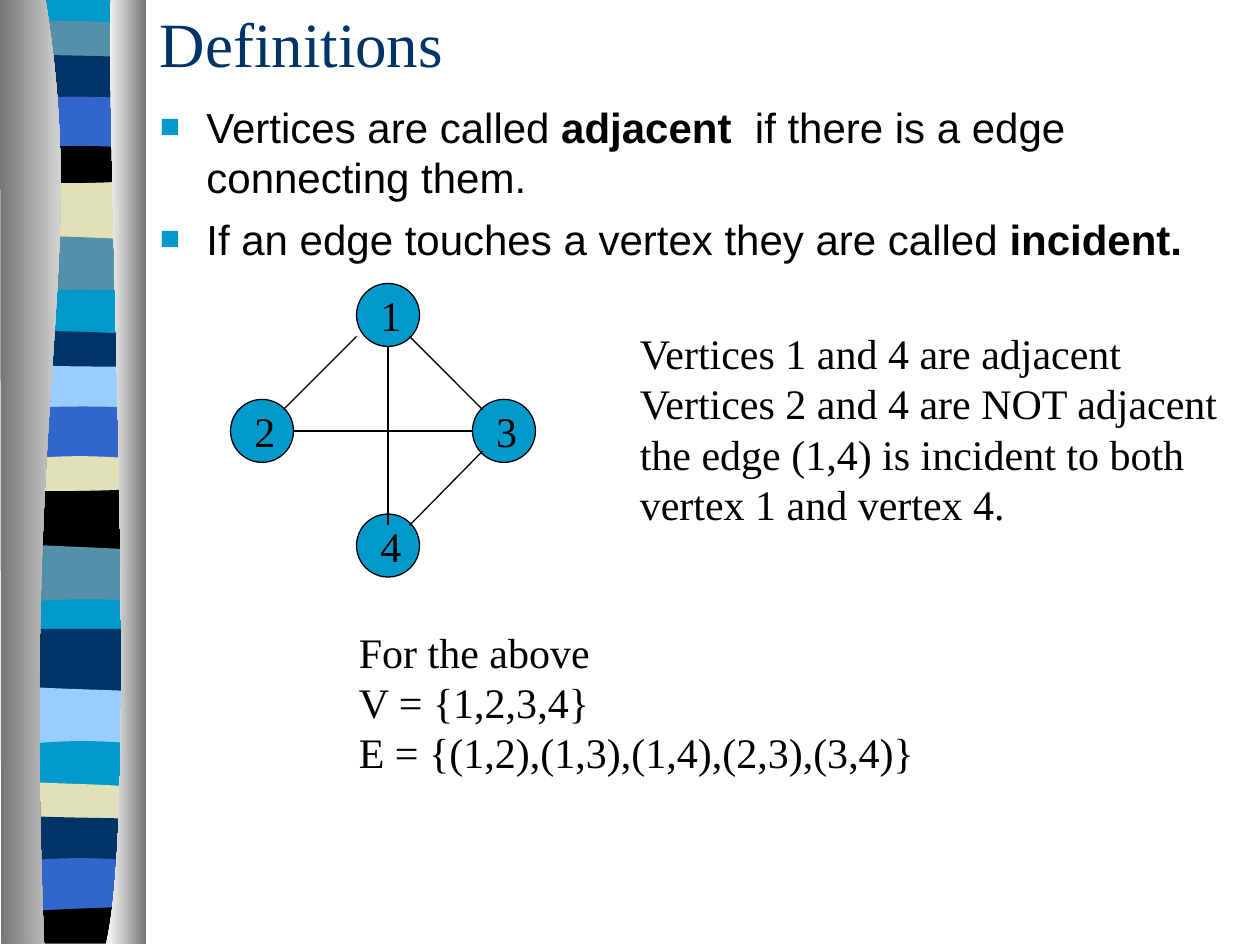
import pptx
import pptx.util
import pptx.dml.color
import pptx.enum.shapes
import pptx.enum.text
import pptx.oxml.ns
import lxml.etree

PX = 9144  # 100 px to the inch
SERIF, SANS = "Times New Roman", "Arial"
BLUE, NAVY, TEAL = "0099CC", "003366", "5490A8"
ROYAL, SKY, SAND, BLACK = "3366CC", "99CCFF", "E1E1B7", "000000"
GREY, WHITE = "767676", "FFFFFF"

# Stripe colour, then height of its top edge at left, middle and right
STRIPES = [
    (BLUE, -1, -1, -1), (TEAL, 17, 17, 20), (NAVY, 43, 44, 46),
    (ROYAL, 79, 77, 79), (BLACK, 119, 116, 118), (SAND, 144, 145, 143),
    (TEAL, 186, 188, 191), (BLUE, 233, 230, 232), (NAVY, 262, 263, 266),
    (SKY, 289, 291, 291), (ROYAL, 325, 323, 324), (SAND, 366, 362, 365),
    (BLACK, 390, 390, 388), (TEAL, 431, 434, 437), (BLUE, 479, 476, 477),
    (NAVY, 499, 499, 499), (SKY, 544, 547, 549), (BLUE, 593, 588, 591),
    (SAND, 620, 622, 625), (NAVY, 647, 649, 650), (ROYAL, 685, 681, 684),
    (BLACK, 725, 721, 719),
]
LEFT, RIGHT, BOTTOM = 6, 114, 749

# Curve of the inner edge, outer corners, gradient from left to right
SIDES = [
    ([(36, -1), (71, 216), (17, 296), (35, 749)], [(1, 749), (0, -1)], (GREY, WHITE)),
    ([(88, -1), (84, 125), (111, 646), (84, 749)], [(116, 749), (116, -1)], (WHITE, GREY)),
]

TITLE = "Definitions"
BULLETS = [
    [("Vertices are called ", False), ("adjacent ", True),
     (" if there is a edge connecting them.", False)],
    [("If an edge touches a vertex they are called ", False), ("incident.", True)],
]
NODES = {"1": (283, 225), "2": (183, 317), "3": (375, 317), "4": (283, 408)}
EDGES = [
    (308, 275, 308, 417), (233, 342, 375, 342), (325, 267, 383, 325),
    (283, 267, 225, 325), (383, 358, 325, 417),
]
NOTES = [
    ((498, 255, 483, 170), [
        "Vertices 1 and 4 are adjacent",
        "Vertices 2 and 4 are NOT adjacent",
        "the edge (1,4) is incident to both",
        "vertex 1 and vertex 4.",
    ]),
    ((275, 492, 464, 130), [
        "For the above",
        "V = {1,2,3,4}",
        "E = {(1,2),(1,3),(1,4),(2,3),(3,4)}",
    ]),
]


def rgb(code):
    return pptx.dml.color.RGBColor.from_string(code)


def emu(*sizes):
    return [size * PX for size in sizes]


def outline(shapes, curve, corners):
    """Draw a closed shape: one cubic curve, then straight sides."""
    maker = shapes.build_freeform(*curve[0], scale=PX)
    maker.add_line_segments(curve[1:] + corners, close=True)
    shape = maker.convert_to_shape()
    tag = pptx.oxml.ns.qn
    path = next(shape._element.iter(tag("a:path")))
    bend = lxml.etree.Element(tag("a:cubicBezTo"))
    for side in path.findall(tag("a:lnTo"))[:3]:
        bend.append(side[0])
        path.remove(side)
    path.insert(1, bend)
    shape.shadow.inherit = False
    shape.line.fill.background()
    return shape


def style(para, size, face, color, pitch=None):
    para.font.size = pptx.util.Pt(size)
    para.font.name = face
    para.font.color.rgb = rgb(color)
    if pitch:
        para.line_spacing = pptx.util.Pt(pitch)


def textbox(shapes, box, wrap):
    frame = shapes.add_textbox(*emu(*box)).text_frame
    frame.word_wrap = wrap
    return frame


def paras(frame, items):
    """Pair each item with a paragraph of its own."""
    for place, item in enumerate(items):
        yield (frame.add_paragraph() if place else frame.paragraphs[0]), item


def lines(shapes, box, texts):
    frame = textbox(shapes, box, False)
    frame.auto_size = pptx.enum.text.MSO_AUTO_SIZE.SHAPE_TO_FIT_TEXT
    for para, text in paras(frame, texts):
        para.text = text
        style(para, 24, SERIF, BLACK, 28.8)


def bullet(para):
    props = para._p.get_or_add_pPr()
    props.set("marL", str(37 * PX))
    props.set("indent", str(-37 * PX))
    tag = pptx.oxml.ns.qn
    color = lxml.etree.SubElement(props, tag("a:buClr"))
    lxml.etree.SubElement(color, tag("a:srgbClr"), val=BLUE)
    lxml.etree.SubElement(props, tag("a:buSzPct"), val="80000")
    lxml.etree.SubElement(props, tag("a:buFont"), typeface=SANS)
    lxml.etree.SubElement(props, tag("a:buChar"), char="■")


def ribbon(shapes):
    ends = [max(tops) + 5 for _, *tops in STRIPES[1:]] + [BOTTOM]
    third = (RIGHT - LEFT) // 3
    for (color, start, mid, stop), end in zip(STRIPES, ends):
        pull = (8 * mid - start - stop) / 6  # makes the curve pass through mid
        top = [(LEFT, start), (LEFT + third, pull), (RIGHT - third, pull), (RIGHT, stop)]
        stripe = outline(shapes, top, [(RIGHT, end), (LEFT, end)])
        stripe.fill.solid()
        stripe.fill.fore_color.rgb = rgb(color)
    for inner, outer, colors in SIDES:
        fill = outline(shapes, inner, outer).fill
        fill.gradient()
        fill.gradient_angle = 0
        for stop, color, place in zip(fill.gradient_stops, colors, (0, 1)):
            stop.color.rgb = rgb(color)
            stop.position = place


def graph(shapes):
    for name, (x, y) in NODES.items():
        node = shapes.add_shape(pptx.enum.shapes.MSO_SHAPE.OVAL, *emu(x, y, 50, 50))
        node.shadow.inherit = False
        node.fill.solid()
        node.fill.fore_color.rgb = rgb(BLUE)
        node.line.color.rgb = rgb(BLACK)
        node.line.width = pptx.util.Pt(0.75)
        lines(shapes, (x + 9, y, 36, 50), [name])
    for ends in EDGES:
        edge = shapes.add_connector(pptx.enum.shapes.MSO_CONNECTOR.STRAIGHT, *emu(*ends))
        edge.line.color.rgb = rgb(BLACK)
        edge.line.width = pptx.util.Pt(0.75)
        lxml.etree.SubElement(edge._element.spPr, pptx.oxml.ns.qn("a:effectLst"))


def main():
    deck = pptx.Presentation()
    deck.slide_width, deck.slide_height = emu(1000, 750)
    shapes = deck.slides.add_slide(deck.slide_layouts[6]).shapes
    ribbon(shapes)

    title = textbox(shapes, (117, 0, 850, 67), True)
    title.vertical_anchor = pptx.enum.text.MSO_ANCHOR.MIDDLE
    title.text = TITLE
    style(title.paragraphs[0], 36, SERIF, NAVY)

    body = textbox(shapes, (117, 75, 850, 308), True)
    for para, runs in paras(body, BULLETS):
        for text, bold in runs:
            run = para.add_run()
            run.text = text
            run.font.bold = bold
        style(para, 24, SANS, BLACK, 29)
        para.space_before = pptx.util.Pt(6)
        bullet(para)

    graph(shapes)
    for box, texts in NOTES:
        lines(shapes, box, texts)
    deck.save("out.pptx")


if __name__ == "__main__":
    main()
